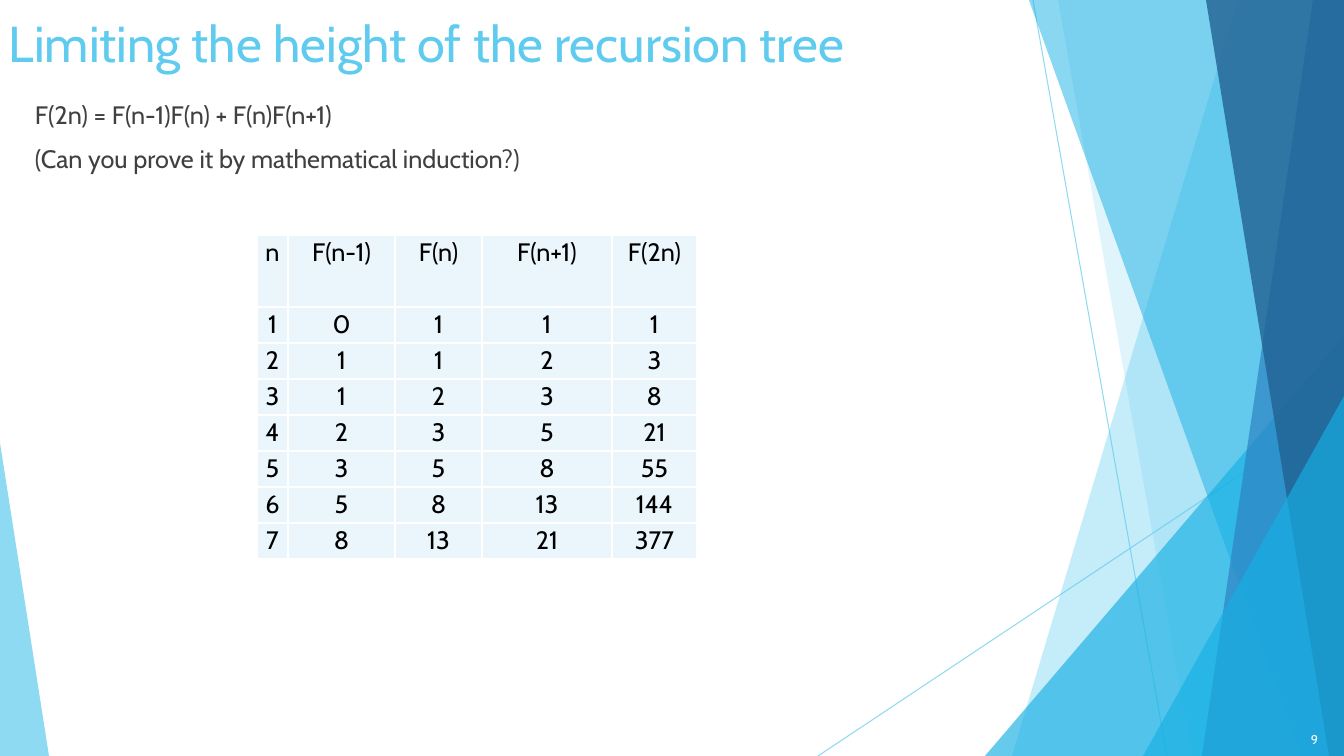
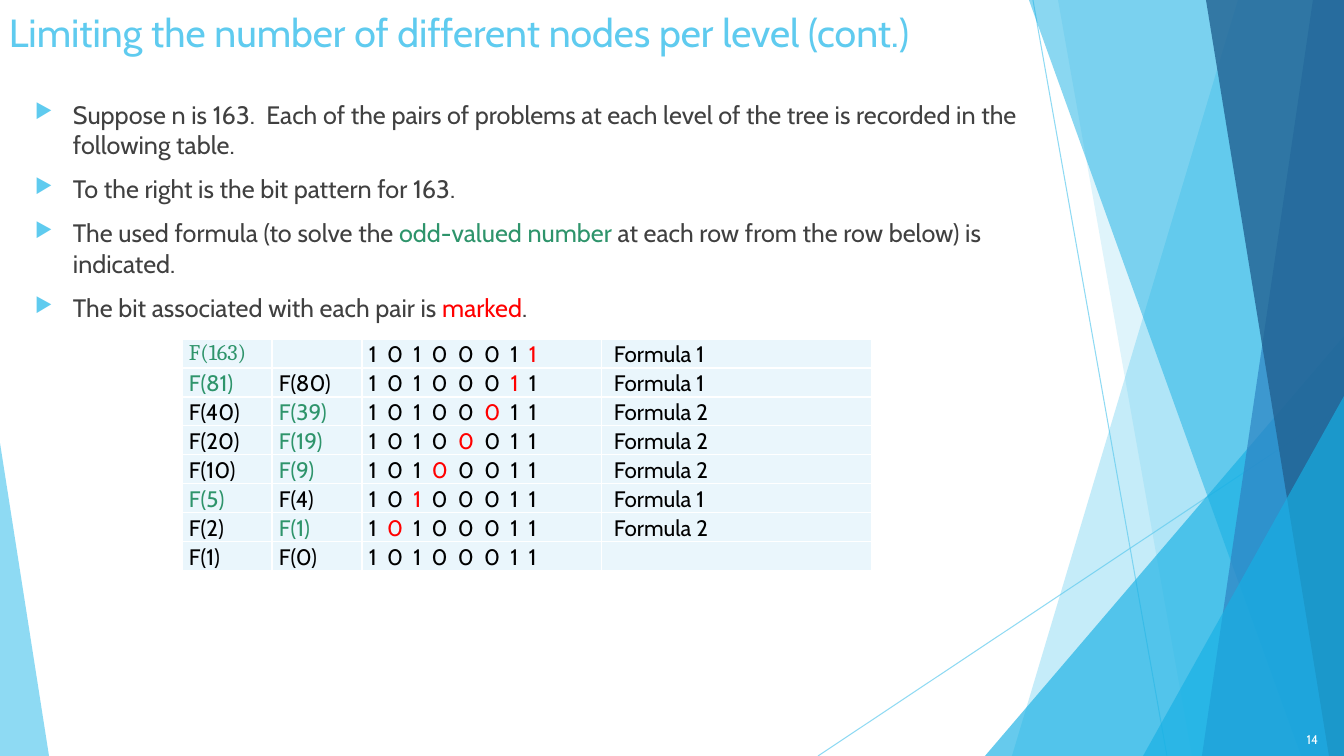
from lxml.etree import SubElement
from pptx import Presentation
from pptx.dml.color import RGBColor
from pptx.enum.shapes import MSO_CONNECTOR, MSO_SHAPE
from pptx.enum.text import MSO_ANCHOR, PP_ALIGN
from pptx.oxml.ns import qn
from pptx.util import Pt

PX = 914400 / 100.8
WIDE, HIGH = 1344, 756
HUES = {
    "sky": "5FCBEF", "cyan": "17B0E4", "blue": "2E83C3", "navy": "226292",
    "text": "404040", "black": "000000", "white": "FFFFFF",
    "green": "2E946B", "red": "FF0000", "cell": "EAF6FC",
}
RGB = {name: RGBColor.from_string(code) for name, code in HUES.items()}


def px(*sizes):
    return [round(size * PX) for size in sizes]


def write(frame, lines, size=18, hue="text", font="Cabin", align=PP_ALIGN.LEFT,
          gap=0, lead=None, bullet=False, track=0):
    """Fill a frame; a line is a string or a list of (text, hue) runs."""
    frame.word_wrap = True
    for i, line in enumerate(lines):
        para = frame.add_paragraph() if i else frame.paragraphs[0]
        if bullet:
            props = para._p.get_or_add_pPr()
            indent = px(38)[0]
            props.set("marL", str(indent))
            props.set("indent", str(-indent))
            tint = SubElement(props, qn("a:buClr"))
            SubElement(tint, qn("a:srgbClr"), val=HUES["sky"])
            SubElement(props, qn("a:buSzPct"), val="80000")
            SubElement(props, qn("a:buChar"), char="▶")
        para.alignment = align
        if i:
            para.space_before = Pt(gap)
        if lead:
            para.line_spacing = lead
        if not line:
            SubElement(para._p, qn("a:endParaRPr"), sz=str(size * 100))
            continue
        for text, tone in [(line, hue)] if isinstance(line, str) else line:
            run = para.add_run()
            run.text = text
            run.font.name = font
            run.font.size = Pt(size)
            run.font.color.rgb = RGB[tone]
            if track:
                run._r.get_or_add_rPr().set("spc", str(track))


deck = Presentation()
deck.slide_width, deck.slide_height = px(WIDE, HIGH)

# Lines: x1, y1, x2, y2. Bands: left edge at top and foot.
# Triangles: left, top, width, height, apex.
DECOR = [
    ("line", "sky", 70, (1033, 0, 1167, HIGH)),
    ("line", "sky", 70, (WIDE, 406, 818, HIGH)),
    ("band", "sky", 36, (1238, 1012)),
    ("band", "sky", 20, (1058, 1192)),
    ("peak", "cyan", 66, (985, 336, 359, 420, 1)),
    ("band", "cyan", 50, (1029, 1301)),
    ("band", "blue", 70, (1313, 1202)),
    ("band", "navy", 80, (1206, 1329)),
    ("peak", "cyan", 66, (1143, 396, 201, 360, 1)),
    ("peak", "sky", 70, (0, 443, 49, 313, 0)),
]

# Fibonacci values by n
fib = [0, 1]
while len(fib) < 15:
    fib.append(fib[-1] + fib[-2])
sums = [["n", "F(n-1)", "F(n)", "F(n+1)", "F(2n)"]]
for n in range(1, 8):
    sums.append([str(v) for v in (n, fib[n - 1], fib[n], fib[n + 1], fib[2 * n])])

# Pairs per level: the odd one is solved, the bit at that level is marked
BITS = "10100011"
PAIRS = [(163, None), (81, 80), (40, 39), (20, 19), (10, 9), (5, 4), (2, 1), (1, 0)]
LAST = len(PAIRS) - 1
levels = []
for i, pair in enumerate(PAIRS):
    row = []
    for n in pair:
        tone = "green" if n and n % 2 and i < LAST else "black"
        row.append("" if n is None else [(f"F({n})", tone)])
    spot = LAST - i
    if spot:
        halves = [(" ".join(BITS[:spot]) + " ", "black"), (BITS[spot], "red")]
        if i:
            halves.append((" " + " ".join(BITS[spot + 1:]), "black"))
        row += [halves, "Formula 1" if BITS[spot] == "1" else "Formula 2"]
    else:
        row += [" ".join(BITS), ""]
    levels.append(row)

SLIDES = [
    dict(
        page="9", title="Limiting the height of the recursion tree", size=36, lead=1.07,
        bullet=False,
        body=["F(2n) = F(n-1)F(n) + F(n)F(n+1)",
              "(Can you prove it by mathematical induction?)"],
        grid=sums, at=(257, 235), cols=(31, 107, 87, 130, 85), rows=[72] + [36] * 7,
        pads=[7] * 5, type=18, align=PP_ALIGN.CENTER, track={}, fonts={},
    ),
    dict(
        page="14", title="Limiting the number of different nodes per level (cont.)",
        size=28, lead=None, bullet=True,
        body=["Suppose n is 163.  Each of the pairs of problems at each level of the "
              "tree is recorded in the following table.",
              "To the right is the bit pattern for 163.",
              [("The used formula (to solve the ", "text"),
               ("odd-valued number ", "green"),
               ("at each row from the row below) is indicated.", "text")],
              [("The bit associated with each pair is ", "text"),
               ("marked", "red"), (".", "text")]],
        grid=levels, at=(182, 339), cols=(90, 90, 240, 270), rows=[29] * 8,
        pads=(7, 7, 7, 12), type=16, align=PP_ALIGN.LEFT, track={2: 190},
        fonts={(0, 0): "Cambria"},
    ),
]

for data in SLIDES:
    slide = deck.slides.add_slide(deck.slide_layouts[6])
    shapes = slide.shapes

    for kind, hue, alpha, geo in DECOR:
        if kind == "line":
            item = shapes.add_connector(MSO_CONNECTOR.STRAIGHT, *px(*geo))
            item.line.color.rgb = RGB[hue]
            item.line.width = Pt(0.75)
            SubElement(item._element.spPr, qn("a:effectLst"))
        else:
            if kind == "band":
                top, foot = geo
                pen = shapes.build_freeform(top, 0, scale=PX)
                pen.add_line_segments([(WIDE, 0), (WIDE, HIGH), (foot, HIGH)])
                item = pen.convert_to_shape()
            else:
                item = shapes.add_shape(MSO_SHAPE.ISOSCELES_TRIANGLE, *px(*geo[:4]))
                item.adjustments[0] = geo[4]
            item.shadow.inherit = False
            item.line.fill.background()
            item.fill.solid()
            item.fill.fore_color.rgb = RGB[hue]
        for tint in item._element.iter(qn("a:srgbClr")):
            SubElement(tint, qn("a:alpha"), val=str(alpha * 1000))

    head = shapes.add_textbox(*px(-1, 3, 1033, 82))
    write(head.text_frame, [data["title"]], size=data["size"], hue="sky", lead=data["lead"])
    body = shapes.add_textbox(*px(25, 94, 1004, 557))
    write(body.text_frame, data["body"], gap=10, bullet=data["bullet"])

    cols, rows = data["cols"], data["rows"]
    box = px(*data["at"], sum(cols), sum(rows))
    table = shapes.add_table(len(rows), len(cols), *box).table
    table.first_row = table.horz_banding = False
    for col, size in zip(table.columns, px(*cols)):
        col.width = size
    for row, size in zip(table.rows, px(*rows)):
        row.height = size
    for r, line in enumerate(data["grid"]):
        for c, text in enumerate(line):
            cell = table.cell(r, c)
            cell.margin_left, cell.margin_right = px(data["pads"][c], 7)
            cell.margin_top = cell.margin_bottom = 0
            props = cell._tc.get_or_add_tcPr()
            for side in "LRTB":
                edge = SubElement(props, qn("a:ln" + side), w=str(Pt(1)))
                paint = SubElement(edge, qn("a:solidFill"))
                SubElement(paint, qn("a:srgbClr"), val=HUES["white"])
            cell.fill.solid()
            cell.fill.fore_color.rgb = RGB["cell"]
            write(cell.text_frame, [text], size=data["type"], hue="black", lead=1.07,
                  align=data["align"], track=data["track"].get(c, 0),
                  font=data["fonts"].get((r, c), "Cabin"))

    foot = shapes.add_textbox(*px(1252, 722, 76, 34))
    foot.text_frame.vertical_anchor = MSO_ANCHOR.MIDDLE
    write(foot.text_frame, [data["page"]], size=9, hue="white", align=PP_ALIGN.RIGHT)

deck.save("out.pptx")
